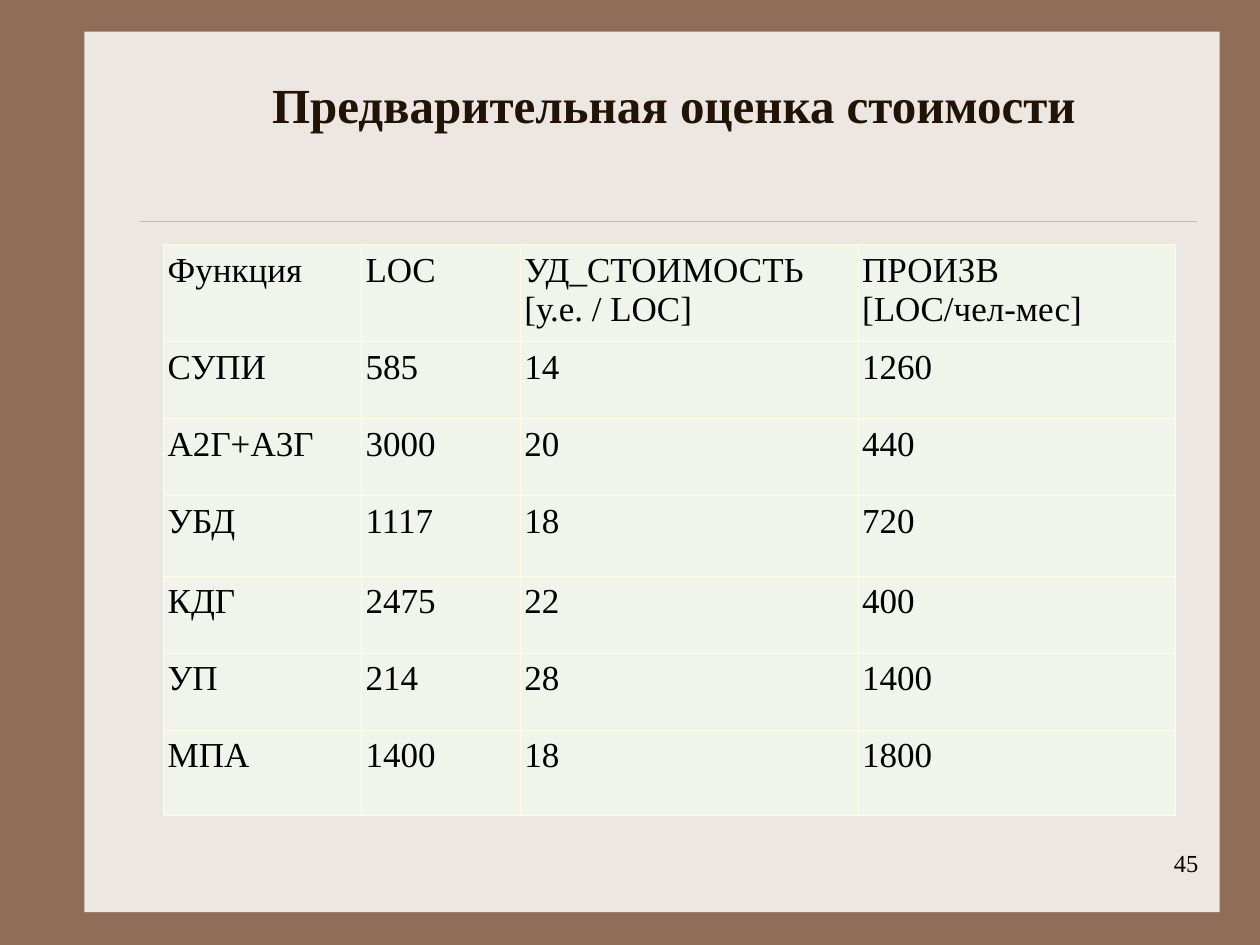
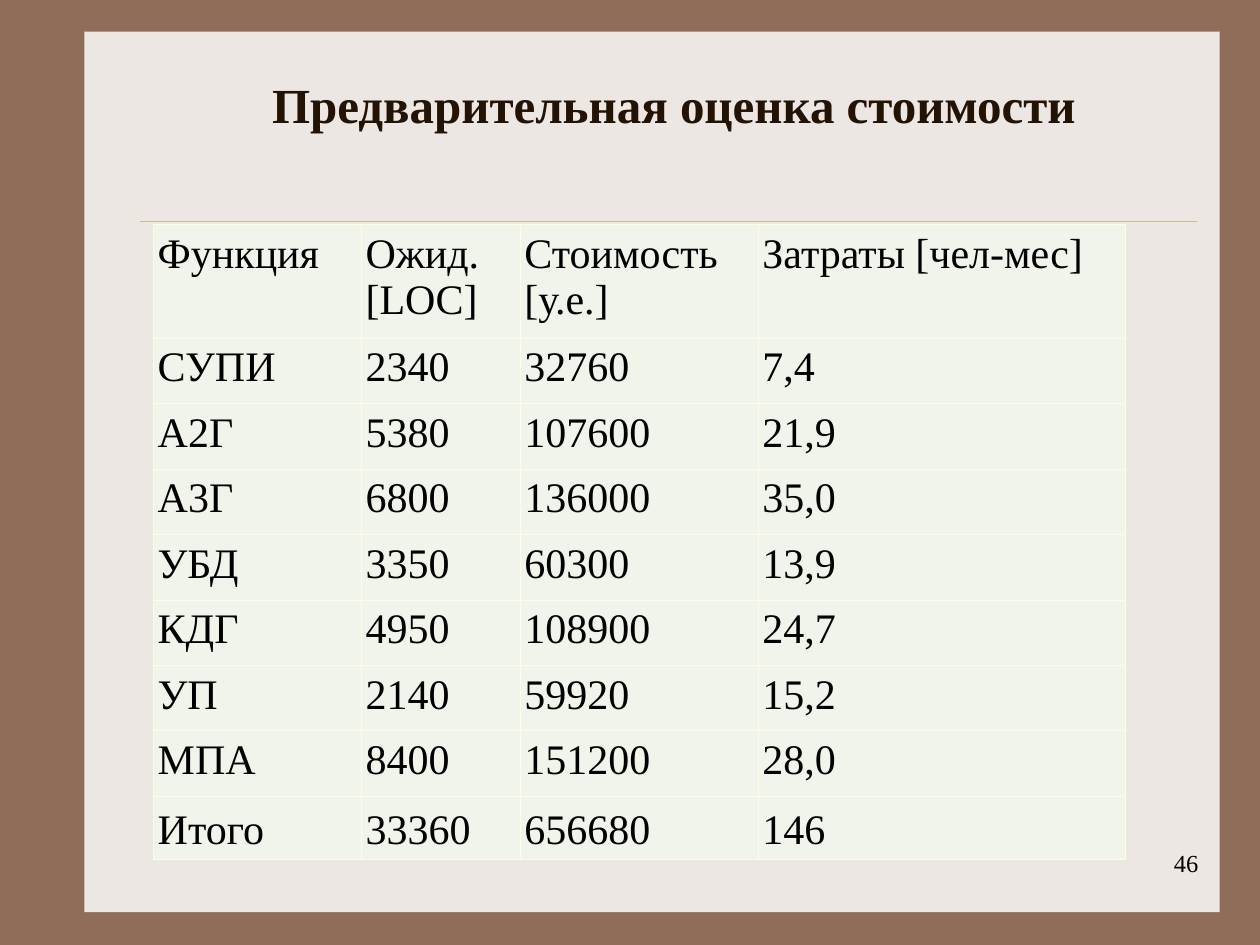
from dataclasses import dataclass

import pptx
import pptx.dml.color
import pptx.enum.shapes
import pptx.enum.text
import pptx.oxml
import pptx.oxml.ns
import pptx.util

Cm = pptx.util.Cm
Pt = pptx.util.Pt
ALIGN = pptx.enum.text.PP_ALIGN
ANCHOR = pptx.enum.text.MSO_ANCHOR


def color(value):
    return pptx.dml.color.RGBColor.from_string(value)


@dataclass(frozen=True)
class Theme:
    font: str = "Times New Roman"
    frame: str = "906D58"
    panel: str = "EDE7E3"
    rule: str = "CBBD83"
    title: str = "221304"
    text: str = "000000"
    cell: str = "F0F4EB"
    border: str = "FEFDE3"
    title_size: int = 28
    number_size: int = 14
    rule_width: float = 0.25
    border_width: float = 0.45


class SlideBuilder:
    def __init__(self, deck, theme):
        self.deck = deck
        self.theme = theme
        self.page = None

    def start_page(self, title, number):
        theme = self.theme
        self.page = self.deck.slides.add_slide(self.deck.slide_layouts[6])
        background = self.page.background.fill
        background.solid()
        background.fore_color.rgb = color(theme.frame)
        self.panel(1.7, 0.64, 22.89, 17.75)
        self.rule(2.82, 24.13, 4.45)
        self.text(number, (19.13, 16.97, 5.28, 1.27), theme.number_size,
                  theme.text, ALIGN.RIGHT)
        self.text(title, (2.69, 1.07, 21.79, 2.06), theme.title_size,
                  theme.title, ALIGN.CENTER, ANCHOR.MIDDLE, bold=True)

    def panel(self, left, top, width, height):
        shape = self.page.shapes.add_shape(
            pptx.enum.shapes.MSO_SHAPE.RECTANGLE,
            Cm(left), Cm(top), Cm(width), Cm(height))
        shape.shadow.inherit = False
        shape.fill.solid()
        shape.fill.fore_color.rgb = color(self.theme.panel)
        shape.line.fill.background()

    def rule(self, left, right, y):
        line = self.page.shapes.add_connector(
            pptx.enum.shapes.MSO_CONNECTOR.STRAIGHT,
            Cm(left), Cm(y), Cm(right), Cm(y))
        line.line.color.rgb = color(self.theme.rule)
        line.line.width = Pt(self.theme.rule_width)
        properties = line._element.spPr
        properties.append(pptx.oxml.parse_xml(
            f"<a:effectLst {pptx.oxml.ns.nsdecls('a')}/>"))

    def text(self, words, place, size, ink, align, anchor=ANCHOR.TOP, bold=False):
        box = self.page.shapes.add_textbox(*map(Cm, place))
        frame = box.text_frame
        frame.word_wrap = True
        frame.vertical_anchor = anchor
        self.fill_text(frame, words, size, ink, align, bold)

    def fill_text(self, frame, words, size, ink, align, bold=False):
        frame.text = words
        for para in frame.paragraphs:
            para.alignment = align
            para.font.name = self.theme.font
            para.font.size = Pt(size)
            para.font.bold = bold
            para.font.color.rgb = color(ink)

    def table(self, left, top, widths, heights, rows, size, last_anchor=ANCHOR.TOP):
        table = self.page.shapes.add_table(
            len(rows), len(widths), Cm(left), Cm(top),
            Cm(sum(widths)), Cm(sum(heights))).table
        table.first_row = table.horz_banding = False
        for column, width in zip(table.columns, widths):
            column.width = Cm(width)
        for row, height, values in zip(table.rows, heights, rows):
            row.height = Cm(height)
            for cell, value in zip(row.cells, values):
                self.cell(cell, value, size)
        for cell in row.cells:
            cell.vertical_anchor = last_anchor

    def cell(self, cell, value, size):
        theme = self.theme
        cell.margin_left = cell.margin_right = Cm(0.08)
        cell.margin_top = cell.margin_bottom = Cm(0.13)
        properties = cell._tc.get_or_add_tcPr()
        for side in "LRTB":
            properties.append(pptx.oxml.parse_xml(
                f"<a:ln{side} {pptx.oxml.ns.nsdecls('a')} "
                f'w="{Pt(theme.border_width)}"><a:solidFill>'
                f'<a:srgbClr val="{theme.border}"/></a:solidFill></a:ln{side}>'))
        cell.fill.solid()
        cell.fill.fore_color.rgb = color(theme.cell)
        self.fill_text(cell.text_frame, value, size, theme.text, ALIGN.JUSTIFY)


TITLE = "Предварительная оценка стоимости"

RATES = [
    ("Функция", "LOC", "УД_СТОИМОСТЬ\n[у.е. / LOC]", "ПРОИЗВ\n[LOC/чел-мес]"),
    ("СУПИ", "585", "14", "1260"),
    ("А2Г+А3Г", "3000", "20", "440"),
    ("УБД", "1117", "18", "720"),
    ("КДГ", "2475", "22", "400"),
    ("УП", "214", "28", "1400"),
    ("МПА", "1400", "18", "1800"),
]

ESTIMATES = [
    ("Функция", "Ожид. [LOC]", "Стоимость\n[у.е.]", "Затраты [чел-мес]"),
    ("СУПИ", "2340", "32760", "7,4"),
    ("А2Г", "5380", "107600", "21,9"),
    ("A3Г", "6800", "136000", "35,0"),
    ("УБД", "3350", "60300", "13,9"),
    ("КДГ", "4950", "108900", "24,7"),
    ("УП", "2140", "59920", "15,2"),
    ("МПА", "8400", "151200", "28,0"),
    ("Итого", "33360", "656680", "146"),
]


def main():
    deck = pptx.Presentation()
    deck.slide_width, deck.slide_height = Cm(25.4), Cm(19.05)
    builder = SlideBuilder(deck, Theme())

    builder.start_page(TITLE, "45")
    builder.table(3.3, 4.93, [3.99, 3.2, 6.81, 6.4],
                  [1.7, 1.55, 1.55, 1.63, 1.55, 1.55, 1.73], RATES, size=20)

    builder.start_page(TITLE, "46")
    builder.table(3.1, 4.52, [4.19, 3.2, 4.8, 7.39],
                  [2.03] + [1.32] * 7 + [1.02], ESTIMATES, size=24,
                  last_anchor=ANCHOR.BOTTOM)

    deck.save("out.pptx")


if __name__ == "__main__":
    main()
